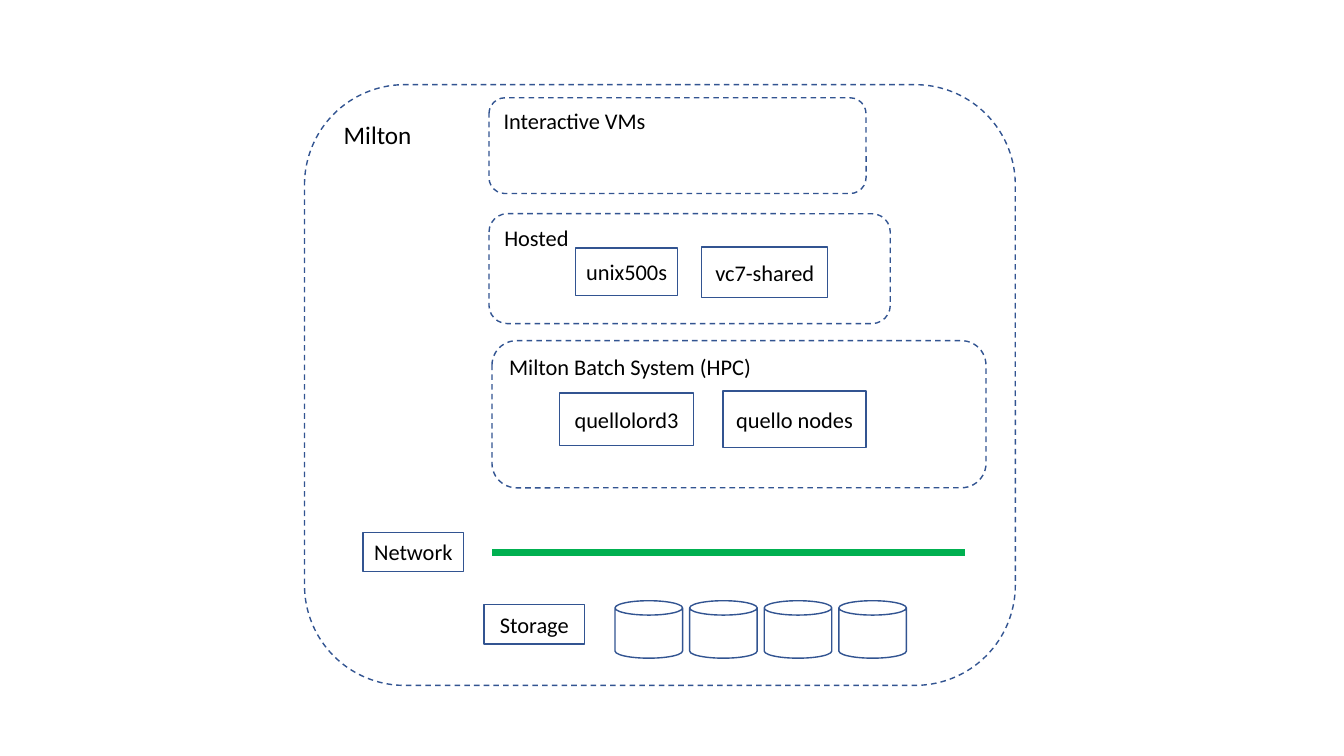
from dataclasses import dataclass

from pptx import Presentation
from pptx.dml.color import RGBColor as RGB
from pptx.enum.dml import MSO_LINE as Dash
from pptx.enum.shapes import MSO_CONNECTOR as Link, MSO_SHAPE as Kind
from pptx.enum.text import MSO_ANCHOR as Anchor, PP_ALIGN as Align
from pptx.oxml.ns import qn
from pptx.util import Inches, Pt
from lxml.etree import SubElement


@dataclass(frozen=True)
class Theme:
    font: str = "Calibri"
    ink: RGB = RGB(0x00, 0x00, 0x00)
    edge: RGB = RGB(0x32, 0x54, 0x91)
    cable: RGB = RGB(0x00, 0xB0, 0x50)
    head: int = 18
    body: int = 16
    thin: float = 1
    thick: float = 4.5


THEME = Theme()


def write(shape, text, size=THEME.body, align=Align.CENTER,
          anchor=Anchor.MIDDLE, inset=0.05):
    """Put one formatted line of text into a shape."""
    frame = shape.text_frame
    frame.word_wrap = True
    frame.vertical_anchor = anchor
    frame.margin_left = frame.margin_right = Inches(inset)
    para = frame.paragraphs[0]
    para.alignment = align
    run = para.add_run()
    run.text = text
    run.font.name = THEME.font
    run.font.size = Pt(size)
    run.font.color.rgb = THEME.ink


def outline(slide, kind, area):
    """Add an unfilled shape with a thin edge."""
    shape = slide.shapes.add_shape(kind, *map(Inches, area))
    shape.shadow.inherit = False
    shape.fill.background()
    shape.line.color.rgb = THEME.edge
    shape.line.width = Pt(THEME.thin)
    return shape


def zone(slide, text, area, size=THEME.body):
    """Add a dashed, rounded group with its name at top left."""
    shape = outline(slide, Kind.ROUNDED_RECTANGLE, area)
    shape.line.dash_style = Dash.DASH
    write(shape, text, size=size, align=Align.LEFT, anchor=Anchor.TOP,
          inset=0.1)


def box(slide, text, area):
    """Add a plain box with a centred label."""
    write(outline(slide, Kind.RECTANGLE, area), text)


def cable(slide, left, right, top):
    """Add the level network line."""
    line = slide.shapes.add_connector(
        Link.STRAIGHT, *map(Inches, (left, top, right, top)))
    line.line.color.rgb = THEME.cable
    line.line.width = Pt(THEME.thick)
    SubElement(line._element.spPr, qn("a:effectLst"))


def disks(slide, count, left, top, step):
    """Add a row of evenly spaced storage disks."""
    for i in range(count):
        outline(slide, Kind.CAN, (left + i * step, top, 0.67, 0.57))


def main():
    deck = Presentation()
    deck.slide_width, deck.slide_height = Inches(13.33), Inches(7.5)
    slide = deck.slides.add_slide(deck.slide_layouts[6])

    # Cluster and its zones
    zone(slide, "Milton", (3.02, 0.84, 7.05, 5.96), size=THEME.head)
    zones = {
        "Interactive VMs": (4.85, 0.97, 3.74, 0.95),
        "Hosted": (4.85, 2.12, 3.98, 1.09),
        "Milton Batch System (HPC)": (4.88, 3.38, 4.9, 1.46),
    }
    for text, area in zones.items():
        zone(slide, text, area)

    # Machines and row labels
    boxes = {
        "unix500s": (5.71, 2.46, 1.01, 0.47),
        "vc7-shared": (6.96, 2.45, 1.25, 0.5),
        "quellolord3": (5.55, 3.9, 1.33, 0.52),
        "quello nodes": (7.17, 3.88, 1.42, 0.56),
        "Network": (3.6, 5.28, 1, 0.39),
        "Storage": (4.8, 6, 1, 0.39),
    }
    for text, area in boxes.items():
        box(slide, text, area)

    # Network line and storage disks
    cable(slide, 4.88, 9.57, 5.48)
    disks(slide, 4, left=6.1, top=5.96, step=0.74)

    deck.save("out.pptx")


main()
